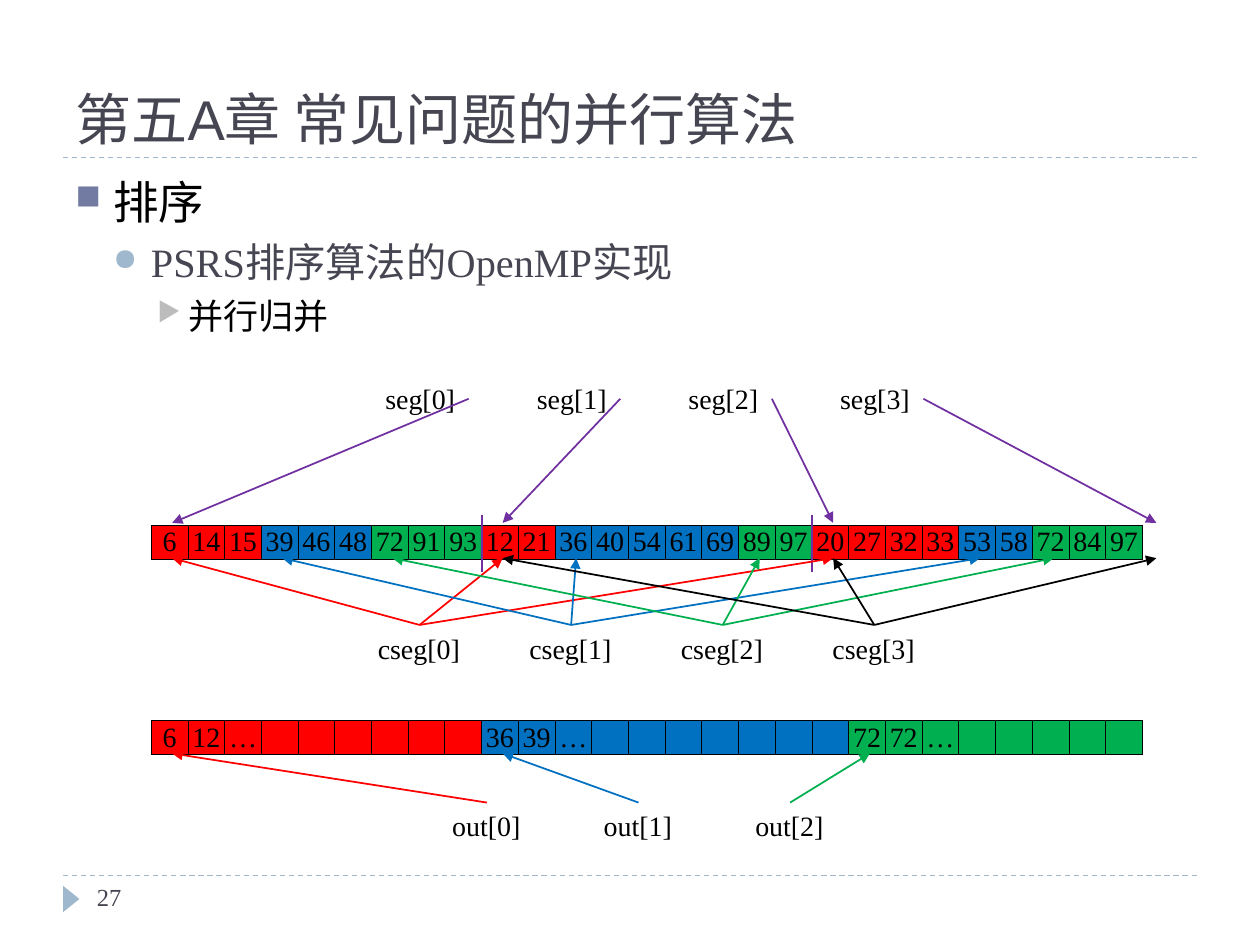
from dataclasses import dataclass
from typing import NamedTuple, Optional

from lxml.etree import SubElement
from pptx import Presentation
from pptx.dml.color import RGBColor
from pptx.enum.dml import MSO_LINE
from pptx.enum.shapes import MSO_CONNECTOR, MSO_SHAPE
from pptx.enum.text import MSO_ANCHOR, MSO_AUTO_SIZE as AutoSize, PP_ALIGN
from pptx.oxml.ns import qn
from pptx.util import Inches, Pt

# The slide is a grid of 100 columns by 75 rows; all lengths count grid units.
UNIT = Inches(0.1)
COLUMNS, ROWS = 100, 75

ARRAY_LEFT, ARRAY_WIDTH, CELL_COUNT = 12, 78.7, 27
ROW_HEIGHT = 2.5
CELL = ARRAY_WIDTH / CELL_COUNT
LABEL_PITCH, LABEL_HEIGHT = 12.03, 3.7
TOP_SIDE, BOTTOM_SIDE = 0, 3


@dataclass(frozen=True)
class Theme:
    heading: str = "464653"
    text: str = "000000"
    accent: str = "9FB8CD"
    red: str = "FF0000"
    blue: str = "0070C0"
    green: str = "00B050"
    purple: str = "7030A0"
    title_font: str = "Arial"
    body_font: str = "Times New Roman"
    title_size: float = 32
    label_size: float = 16
    number_size: float = 14
    thin: float = 0.5
    rule: float = 0.75
    arrow: float = 1


THEME = Theme()
PARTITION_COLORS = (THEME.red, THEME.blue, THEME.green)


class Bullet(NamedTuple):
    char: str
    color: str
    margin: float
    hanging: float


class OutlineItem(NamedTuple):
    text: str
    size: float
    color: str
    before: Optional[float]
    bullet: Bullet


class PointerRow(NamedTuple):
    """A row of labels, each with arrows to cells of an array."""
    name: str
    left: float
    top: float
    width: float
    side: int
    tip_y: float
    colors: tuple
    targets: tuple


OUTLINE = (
    OutlineItem("排序", 26, THEME.text, None, Bullet("■", "727CA3", 3, 3)),
    OutlineItem("PSRS排序算法的OpenMP实现", 23, THEME.heading, 5,
                Bullet("●", THEME.accent, 6, 3)),
    OutlineItem("并行归并", 20, THEME.text, 5, Bullet("▶", "BCBCBC", 9, 2.5)),
)

# Each sorted block is split into three partitions, one per colour.
SORTED_BLOCKS = (
    ((6, 14, 15), (39, 46, 48), (72, 91, 93)),
    ((12, 21), (36, 40, 54, 61, 69), (89, 97)),
    ((20, 27, 32, 33), (53, 58), (72, 84, 97)),
)
MERGED = ((6, 12, "…") + ("",) * 6, (36, 39, "…") + ("",) * 7, (72, 72, "…") + ("",) * 5)

ARRAY_END = 26.8
POINTER_ROWS = (
    PointerRow("cseg", 29, 49.6, 8.6, TOP_SIDE, 44.3, PARTITION_COLORS + (THEME.text,),
               ((0, 9, 18), (3, 11, 22), (6, 16, 24), (9, 18, ARRAY_END))),
    PointerRow("out", 34.9, 63.7, 7.5, TOP_SIDE, 59.8, PARTITION_COLORS,
               ((0,), (9,), (19,))),
    PointerRow("seg", 29.6, 29.8, 7.6, BOTTOM_SIDE, 41.5, (THEME.purple,) * 4,
               ((0,), (9,), (18,), (ARRAY_END,))),
)


def grid(units: float) -> int:
    return round(units * UNIT)


def add_bullet(paragraph, bullet: Bullet) -> None:
    properties = paragraph._p.get_or_add_pPr()
    properties.set("marL", str(grid(bullet.margin)))
    properties.set("indent", str(-grid(bullet.hanging)))
    tint = SubElement(properties, qn("a:buClr"))
    SubElement(tint, qn("a:srgbClr"), val=bullet.color)
    SubElement(properties, qn("a:buSzPct"), val="76000")
    SubElement(properties, qn("a:buChar"), char=bullet.char)


def write(paragraph, text: str, *, size: float = THEME.label_size, color: str = THEME.text,
          font: str = THEME.body_font, align=None, before=None, bullet=None) -> None:
    if bullet:
        add_bullet(paragraph, bullet)
    if align is not None:
        paragraph.alignment = align
    if before is not None:
        paragraph.space_before = Pt(before)
    if not text:
        SubElement(paragraph._p, qn("a:endParaRPr"), sz=str(round(size * 100)))
        return
    run = paragraph.add_run()
    run.text = text
    run.font.size = Pt(size)
    run.font.name = font
    run.font.color.rgb = RGBColor.from_string(color)


def add_text_box(slide, left: float, top: float, width: float, height: float,
                 anchor=MSO_ANCHOR.TOP, wrap: bool = True):
    box = slide.shapes.add_textbox(*map(grid, (left, top, width, height)))
    box.text_frame.vertical_anchor = anchor
    box.text_frame.word_wrap = wrap
    if not wrap:
        box.text_frame.auto_size = AutoSize.SHAPE_TO_FIT_TEXT
    return box


def add_line(slide, start: tuple, end: tuple, color: str, width: float = THEME.arrow,
             dashed: bool = False, arrow: bool = False):
    line = slide.shapes.add_connector(MSO_CONNECTOR.STRAIGHT, *map(grid, start + end))
    line.line.color.rgb = RGBColor.from_string(color)
    line.line.width = Pt(width)
    if dashed:
        line.line.dash_style = MSO_LINE.DASH
    if arrow:
        SubElement(line.line._get_or_add_ln(), qn("a:tailEnd"), type="triangle")
    SubElement(line._element.spPr, qn("a:effectLst"))
    return line


def add_border(cell) -> None:
    properties = cell._tc.get_or_add_tcPr()
    for position, edge in enumerate(("lnL", "lnR", "lnT", "lnB")):
        border = SubElement(properties, qn(f"a:{edge}"), w=str(Pt(THEME.thin)))
        fill = SubElement(border, qn("a:solidFill"))
        SubElement(fill, qn("a:srgbClr"), val=THEME.text)
        properties.insert(position, border)


def add_array(slide, top: float, partitions) -> None:
    """Draw one row of cells; partitions take the three colours in turn."""
    table = slide.shapes.add_table(1, CELL_COUNT, *map(
        grid, (ARRAY_LEFT, top, ARRAY_WIDTH, ROW_HEIGHT))).table
    table.first_row = table.horz_banding = False
    entries = [(value, PARTITION_COLORS[index % len(PARTITION_COLORS)])
               for index, values in enumerate(partitions) for value in values]
    for column, (value, color) in enumerate(entries):
        table.columns[column].width = grid(CELL)
        cell = table.cell(0, column)
        cell.margin_left = cell.margin_right = cell.margin_top = cell.margin_bottom = 0
        cell.vertical_anchor = MSO_ANCHOR.MIDDLE
        cell.fill.solid()
        cell.fill.fore_color.rgb = RGBColor.from_string(color)
        add_border(cell)
        write(cell.text_frame.paragraphs[0], str(value), align=PP_ALIGN.CENTER)


def add_pointers(slide, row: PointerRow) -> None:
    for index, (color, cells) in enumerate(zip(row.colors, row.targets)):
        left = row.left + index * LABEL_PITCH
        label = add_text_box(slide, left, row.top, row.width, LABEL_HEIGHT, wrap=False)
        write(label.text_frame.paragraphs[0], f"{row.name}[{index}]")
        start = (left + row.width / 2,
                 row.top + (LABEL_HEIGHT if row.side == BOTTOM_SIDE else 0))
        for cell in cells:
            tip = (ARRAY_LEFT + (cell + 0.57) * CELL, row.tip_y)
            arrow = add_line(slide, start, tip, color, arrow=True)
            arrow.begin_connect(label, row.side)


def add_frame(slide) -> None:
    """Draw the rules, the page marker, the title and the page number."""
    for y in (69.5, 12.5):
        add_line(slide, (5, y), (COLUMNS - 5, y), THEME.accent, THEME.rule, dashed=True)
    marker = slide.shapes.add_shape(MSO_SHAPE.ISOSCELES_TRIANGLE,
                                    *map(grid, (4.6, 70.7, 2.1, 1.3)))
    marker.rotation = 90
    marker.shadow.inherit = False
    marker.fill.solid()
    marker.fill.fore_color.rgb = RGBColor.from_string(THEME.accent)
    marker.line.fill.background()
    title = add_text_box(slide, 5, 1.7, 90, 10.8, MSO_ANCHOR.BOTTOM)
    write(title.text_frame.paragraphs[0], "第五A章 常见问题的并行算法",
          size=THEME.title_size, color=THEME.heading, font=THEME.title_font)
    number = add_text_box(slide, 6.7, 69.5, 21.7, 4)
    write(number.text_frame.paragraphs[0], "27", size=THEME.number_size, color=THEME.heading)


def add_outline(slide) -> None:
    frame = add_text_box(slide, 5, 13.3, 90, 15.5).text_frame
    for index, item in enumerate(OUTLINE):
        paragraph = frame.add_paragraph() if index else frame.paragraphs[0]
        paragraph.level = index
        write(paragraph, item.text, size=item.size, color=item.color,
              before=item.before, bullet=item.bullet)


def main() -> None:
    deck = Presentation()
    deck.slide_width, deck.slide_height = grid(COLUMNS), grid(ROWS)
    slide = deck.slides.add_slide(deck.slide_layouts[6])
    add_frame(slide)
    add_outline(slide)
    add_array(slide, 41.7, [part for block in SORTED_BLOCKS for part in block])
    for boundary in (9, 18):
        x = ARRAY_LEFT + boundary * CELL
        add_line(slide, (x, 40.9), (x, 45.4), THEME.purple)
    add_array(slide, 57.2, MERGED)
    for row in POINTER_ROWS:
        add_pointers(slide, row)
    deck.save("out.pptx")


if __name__ == "__main__":
    main()
